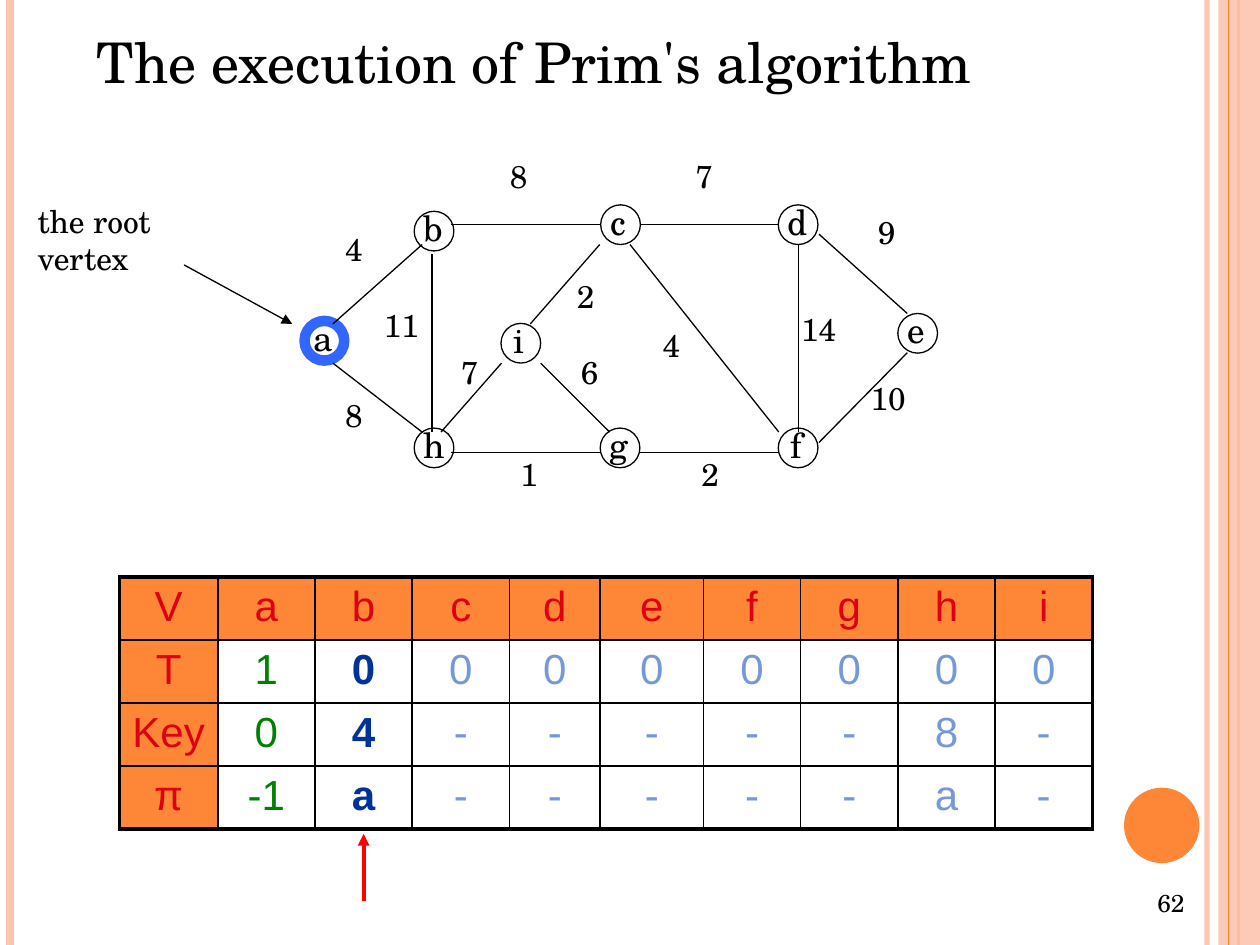
from dataclasses import dataclass

from lxml import etree
from pptx import Presentation, util as u
from pptx.dml.color import RGBColor
from pptx.enum import shapes as sh, text as tx
from pptx.oxml.ns import qn


@dataclass(frozen=True)
class Theme:
    serif: str = "TeX Gyre Schola"
    sans: str = "Arial"
    ink: str = "000000"
    peach: str = "FEC3AE"
    orange: str = "FE8637"
    ring: str = "3366FF"
    head: str = "DD0111"
    done: str = "008000"
    now: str = "003399"
    wait: str = "7598D9"
    arrow: str = "FF0000"
    title: int = 32
    cell: int = 24
    node: int = 20
    label: int = 18
    page: int = 14


T = Theme()

NODES = {
    "a": (0.44, 3.82), "b": (2.65, 1.61), "h": (2.65, 5.98),
    "c": (6.41, 1.48), "d": (9.99, 1.48), "e": (12.4, 3.67),
    "f": (9.99, 5.98), "g": (6.4, 5.98), "i": (4.4, 3.87),
}
NARROW = {"f": 0.74, "i": 0.71}

EDGES = [
    ((0.61, 3.48), (2.41, 1.88), "4", (0.61, 1.47)),
    ((0.61, 4.27), (2.41, 5.66), "8", (0.61, 4.8)),
    ((2.61, 2.08), (2.61, 5.66), "11", (1.39, 3)),
    ((2.99, 1.47), (5.99, 1.47), "8", (3.93, 0)),
    ((2.99, 6.07), (5.99, 6.07), "1", (4.14, 5.99)),
    ((6.8, 6.07), (9.6, 6.07), "2", (7.79, 5.99)),
    ((6.6, 1.88), (9.6, 5.66), "4", (7.01, 3.4)),
    ((6.8, 1.47), (9.6, 1.47), "7", (7.67, 0)),
    ((10, 1.88), (10, 5.66), "14", (9.8, 3.07)),
    ((10.41, 1.67), (12.19, 3.27), "9", (11.35, 1.12)),
    ((10.41, 5.87), (12.19, 4.06), "10", (11.2, 4.47)),
    ((4.8, 4.27), (6.19, 5.66), "6", (5.36, 3.94)),
    ((2.79, 5.66), (4.01, 4.27), "7", (2.94, 3.94)),
    ((4.59, 3.48), (5.99, 1.88), "2", (5.28, 2.41)),
]

ROWS = [
    ["V", *"abcdefghi"],
    ["T", "1", *"00000000"],
    ["Key", "0", "4", *"-----8-"],
    ["π", "-1", "a", *"-----a-"],
]
COLS = [1.98, 1.96, 1.96, 1.96, 1.83, 2.08, 1.96, 1.96, 1.96, 1.96]


def tint(color, hue, alpha=100):
    color.rgb = RGBColor.from_string(hue)


def fade(item, share):
    for node in item.element.spPr.iter(qn("a:srgbClr")):
        etree.SubElement(node, qn("a:alpha"), val=str(share * 1000))


def style(par, size, hue, face=T.serif, bold=False):
    par.font.size, par.font.name, par.font.bold = u.Pt(size), face, bold
    tint(par.font.color, hue)


def write(slide, box, words, size, wrap=True, align=tx.PP_ALIGN.LEFT):
    item = slide.shapes.add_textbox(*map(u.Cm, box))
    item.text_frame.word_wrap = wrap
    par = item.text_frame.paragraphs[0]
    par.text, par.alignment = words, align
    style(par, size, T.ink)


def line(slide, start, end, hue=T.ink, width=0.75, arrow=False):
    item = slide.shapes.add_connector(
        sh.MSO_CONNECTOR.STRAIGHT, *map(u.Cm, (*start, *end)))
    tint(item.line.color, hue)
    item.line.width = u.Pt(width)
    props = item.element.spPr
    if arrow:
        etree.SubElement(props.find(qn("a:ln")), qn("a:tailEnd"), type="triangle")
    etree.SubElement(props, qn("a:effectLst"))
    return item


def shape(slide, kind, box, fill=None, edge=None, width=0.75):
    item = slide.shapes.add_shape(kind, *map(u.Cm, box))
    item.shadow.inherit = False
    if fill:
        item.fill.solid()
        tint(item.fill.fore_color, fill)
    else:
        item.fill.background()
    if edge:
        tint(item.line.color, edge)
        item.line.width = u.Pt(width)
    else:
        item.line.fill.background()
    return item


def frame(slide, box):
    left, top, wide, high = box
    low = top + high

    def stripe(x, hue, width):
        return line(slide, (left + x, top), (left + x, low), hue, width)

    fade(stripe(24.33, T.peach, 3), 93)
    stripe(0.2, T.peach, 4.5)
    stripe(24.97, T.orange, 1.5)
    band = shape(slide, sh.MSO_SHAPE.RECTANGLE,
                 (left + 24.56, top, wide - 24.56, high), T.peach)
    fade(band, 87)
    stripe(24.77, T.orange, 0.75)
    shape(slide, sh.MSO_SHAPE.OVAL, (left + 22.66, top + 15.88, 1.52, 1.52), T.orange)
    write(slide, (left + 18.21, top + 17.78, 5.92, 0.89), "62", T.page,
          align=tx.PP_ALIGN.RIGHT)


def graph(slide, box):
    left, top = box[:2]

    def place(point):
        return left + point[0], top + point[1]

    for name, point in NODES.items():
        x, y = place(point)
        wide = NARROW.get(name, 0.84)
        write(slide, (x - 0.04 - wide / 2, y - 0.62, wide, 1.09), name, T.node, False)
        root = name == "a"
        shape(slide, sh.MSO_SHAPE.OVAL, (x - 0.4, y - 0.4, 0.8, 0.8),
              edge=T.ring if root else T.ink, width=6 if root else 0.75)
    for start, end, *_ in EDGES:
        line(slide, place(start), place(end))
    for *_, weight, spot in EDGES:
        wide = 0.94 if len(weight) == 1 else 1.35
        write(slide, (*place(spot), wide, 1.27), weight, T.label, False)


def note(slide, box):
    left, top = box[:2]
    write(slide, box, "the root vertex", T.label)
    line(slide, (left + 3.2, top + 1.4), (left + 5.38, top + 2.59), arrow=True)


def edge(cell, sides):
    props = cell._tc.get_or_add_tcPr()
    for side, width in sides.items():
        rule = etree.SubElement(props, qn("a:ln" + side), w=str(u.Pt(width)))
        fill = etree.SubElement(rule, qn("a:solidFill"))
        etree.SubElement(fill, qn("a:srgbClr"), val=T.ink)


def table(slide, box):
    left, top, wide, high = box
    grid = slide.shapes.add_table(len(ROWS), len(COLS), *map(u.Cm, box)).table
    grid.first_row = grid.horz_banding = False
    for col, width in zip(grid.columns, COLS):
        col.width = u.Cm(width)
    for row in grid.rows:
        row.height = u.Cm(high / len(ROWS))
    hues = [T.head, T.done, T.now]
    for r, words in enumerate(ROWS):
        for c, word in enumerate(words):
            cell = grid.cell(r, c)
            outer = {"L": c == 0, "R": c == len(COLS) - 1,
                     "T": r == 0, "B": r == len(ROWS) - 1}
            edge(cell, {side: 2.25 if out else 1 for side, out in outer.items()})
            head = r == 0 or c == 0
            if head:
                cell.fill.solid()
                tint(cell.fill.fore_color, T.orange)
            else:
                cell.fill.background()
            cell.margin_left = cell.margin_right = u.Cm(0.1)
            par = cell.text_frame.paragraphs[0]
            par.text, par.alignment = word, tx.PP_ALIGN.CENTER
            hue = T.head if head else hues[c] if c < 3 else T.wait
            style(par, T.cell, hue, T.sans, c == 2 and not head)
    x, low = left + sum(COLS[:2]) + COLS[2] / 2, top + high
    line(slide, (x, low + 1.45), (x, low + 0.1), T.arrow, 2.25, True)


def main():
    deck = Presentation()
    deck.slide_width, deck.slide_height = u.Cm(25.4), u.Cm(19.05)
    slide = deck.slides.add_slide(deck.slide_layouts[6])
    frame(slide, (0, 0, 25.4, 19.05))
    graph(slide, (6.1, 3.05, 12.8, 7.3))
    write(slide, (1.7, 0.43, 21.8, 1.63), "The execution of Prim's algorithm", T.title)
    note(slide, (0.51, 3.94, 3.4, 2.29))
    table(slide, (2.41, 11.63, sum(COLS), 5.08))
    deck.save("out.pptx")


if __name__ == "__main__":
    main()
